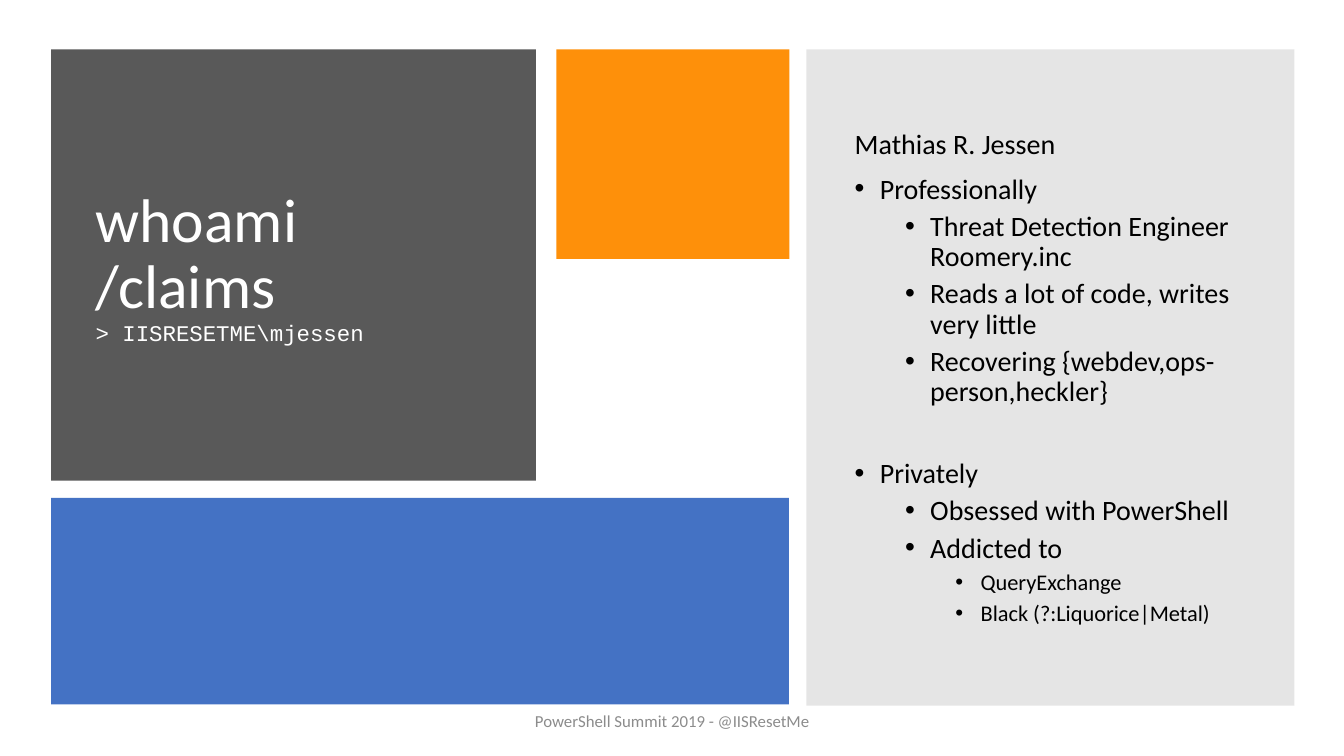
"""Build a speaker introduction slide with colour blocks and a bulleted profile."""
from lxml.etree import SubElement
from pptx import Presentation
from pptx.dml.color import RGBColor
from pptx.enum.shapes import MSO_SHAPE
from pptx.enum.text import MSO_ANCHOR, PP_ALIGN
from pptx.oxml.ns import qn
from pptx.util import Inches, Pt

SLIDE_WIDTH = Inches(13.33)
SLIDE_HEIGHT = Inches(7.5)
LEFT_EDGE = 3.8
TOP_EDGE = 6.53
TEXT_WIDTH = 30.83

WHITE = RGBColor(0xFF, 0xFF, 0xFF)
BLACK = RGBColor(0x00, 0x00, 0x00)
CHARCOAL = RGBColor(0x59, 0x59, 0x59)
ORANGE = RGBColor(0xFE, 0x90, 0x0A)
BLUE = RGBColor(0x44, 0x72, 0xC4)
GRAY = RGBColor(0x80, 0x80, 0x80)
FOOTER_GRAY = RGBColor(0x8C, 0x8C, 0x8C)

TITLE_LINES = [("whoami /claims", 44, "Calibri"), ("> IISRESETME\\mjessen", 16, "Courier New")]
PROFILE = [
    (None, "Mathias R. Jessen"),
    (0, "Professionally"),
    (1, "Threat Detection Engineer Roomery.inc"),
    (1, "Reads a lot of code, writes very little"),
    (1, "Recovering {webdev,ops-person,heckler}"),
    (0, "Privately"),
    (1, "Obsessed with PowerShell"),
    (1, "Addicted to"),
    (2, "QueryExchange"),
    (2, "Black (?:Liquorice|Metal)"),
]
LEVEL_SIZES = {None: 20, 0: 20, 1: 20, 2: 16}
SECTION_GAP = 37


def place(left, top, width, height):
    """Turn percentages of the slide into lengths."""
    return (
        int(SLIDE_WIDTH * left / 100),
        int(SLIDE_HEIGHT * top / 100),
        int(SLIDE_WIDTH * width / 100),
        int(SLIDE_HEIGHT * height / 100),
    )


def add_block(slide, area, color, opacity=100):
    """Add a plain rectangle, optionally translucent."""
    shape = slide.shapes.add_shape(MSO_SHAPE.RECTANGLE, *place(*area))
    shape.shadow.inherit = False
    shape.line.fill.background()
    shape.fill.solid()
    shape.fill.fore_color.rgb = color
    if opacity < 100:
        color_element = shape.fill._xPr.find(qn("a:solidFill"))[0]
        SubElement(color_element, qn("a:alpha"), val=str(opacity * 1000))


def add_text_frame(slide, area):
    """Add a wrapping, vertically centred text box."""
    text_frame = slide.shapes.add_textbox(*place(*area)).text_frame
    text_frame.word_wrap = True
    text_frame.vertical_anchor = MSO_ANCHOR.MIDDLE
    return text_frame


def add_paragraph(text_frame, text, size, color, font_name="Calibri", level=None):
    """Add a paragraph, bulleted when it has an outline level."""
    first = text_frame.paragraphs[0]
    paragraph = text_frame.add_paragraph() if first.runs else first
    paragraph.text = text
    if level is not None:
        paragraph.level = level
        properties = paragraph._p.get_or_add_pPr()
        properties.set("marL", str(Inches(0.25 + 0.5 * level)))
        properties.set("indent", str(Inches(-0.25)))
        SubElement(properties, qn("a:buFont"), typeface="Arial")
        SubElement(properties, qn("a:buChar"), char="•")
    paragraph.font.name = font_name
    paragraph.font.size = Pt(size)
    paragraph.font.color.rgb = color
    return paragraph


def add_title(slide):
    """Add the command and its output."""
    text_frame = add_text_frame(slide, (6.38, 11.07, TEXT_WIDTH, 48.67))
    for text, size, font_name in TITLE_LINES:
        add_paragraph(text_frame, text, size, WHITE, font_name).line_spacing = 0.9


def add_profile(slide):
    """Add the outline, with a wide gap before each later section."""
    text_frame = add_text_frame(slide, (62.85, 11.6, TEXT_WIDTH, 76.93))
    previous_level = None
    for level, text in PROFILE:
        paragraph = add_paragraph(text_frame, text, LEVEL_SIZES[level], BLACK, level=level)
        paragraph.line_spacing = 0.9
        if level == 0:
            paragraph.space_before = Pt(10 if previous_level is None else SECTION_GAP)
        elif level is not None:
            paragraph.space_before = Pt(5)
        previous_level = level


def add_footer(slide):
    """Add the centred event line."""
    text_frame = add_text_frame(slide, (33.15, 92.67, 33.75, 5.33))
    paragraph = add_paragraph(text_frame, "PowerShell Summit 2019 - @IISResetMe", 12, FOOTER_GRAY)
    paragraph.alignment = PP_ALIGN.CENTER


def main():
    """Build and save the slide."""
    presentation = Presentation()
    presentation.slide_width = SLIDE_WIDTH
    presentation.slide_height = SLIDE_HEIGHT
    slide = presentation.slides.add_slide(presentation.slide_layouts[6])
    add_block(slide, (LEFT_EDGE, TOP_EDGE, 36.08, 57.07), CHARCOAL)
    add_title(slide)
    add_block(slide, (41.4, TOP_EDGE, 17.33, 27.73), ORANGE)
    add_block(slide, (LEFT_EDGE, 65.87, 54.9, 27.33), BLUE)
    add_block(slide, (60, TOP_EDGE, 36.3, 86.8), GRAY, opacity=20)
    add_profile(slide)
    add_footer(slide)
    presentation.save("out.pptx")


if __name__ == "__main__":
    main()
